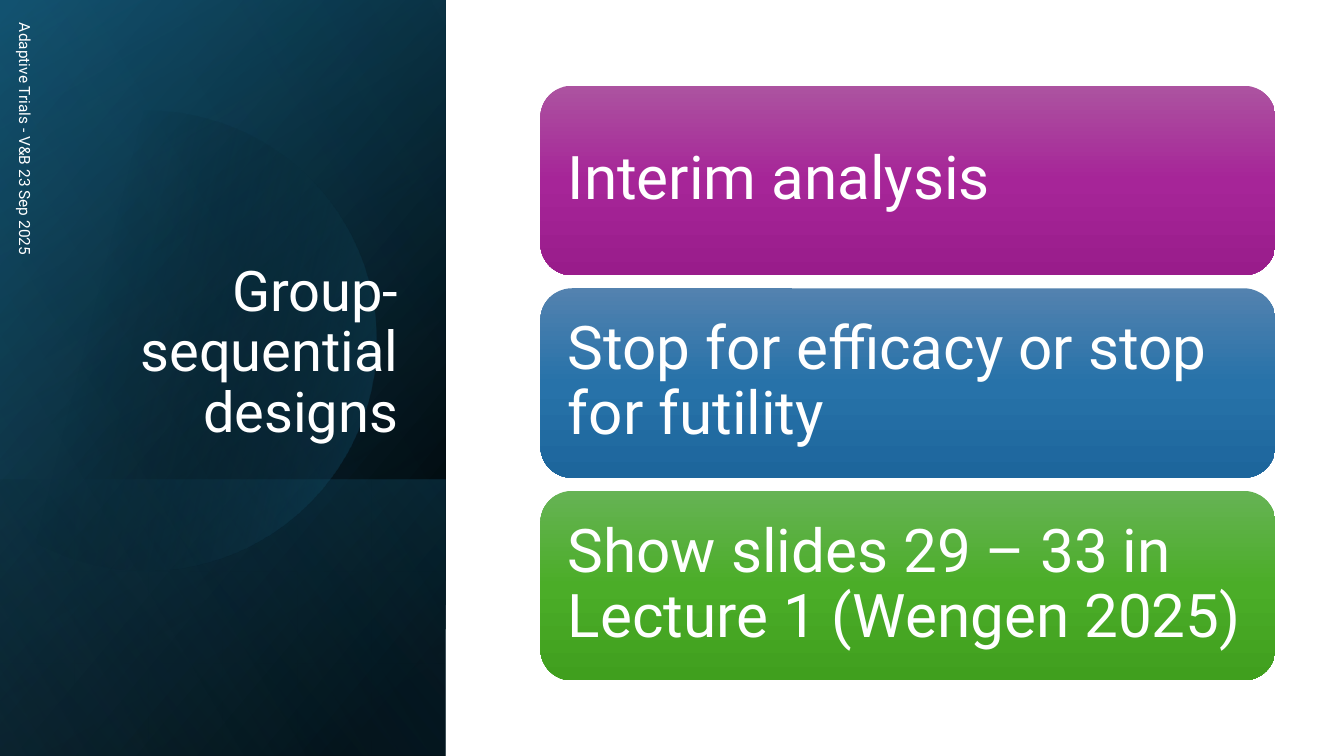
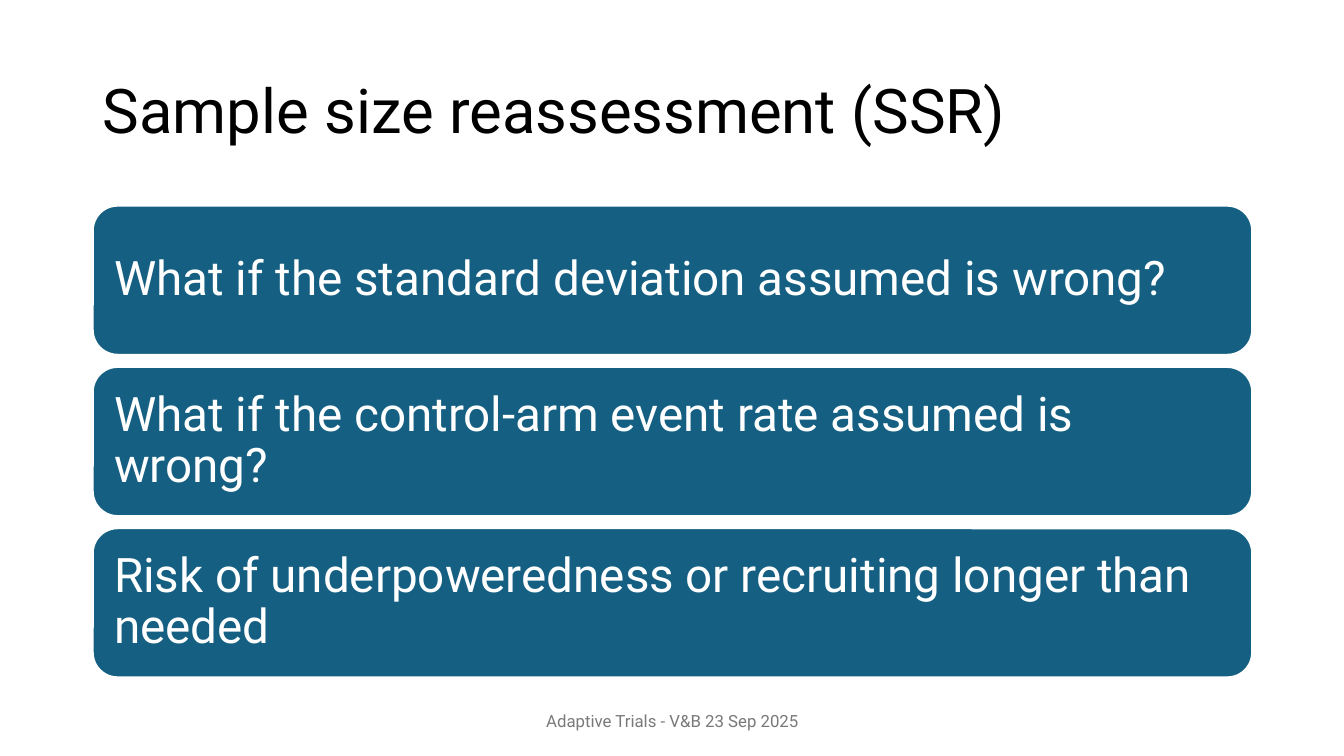
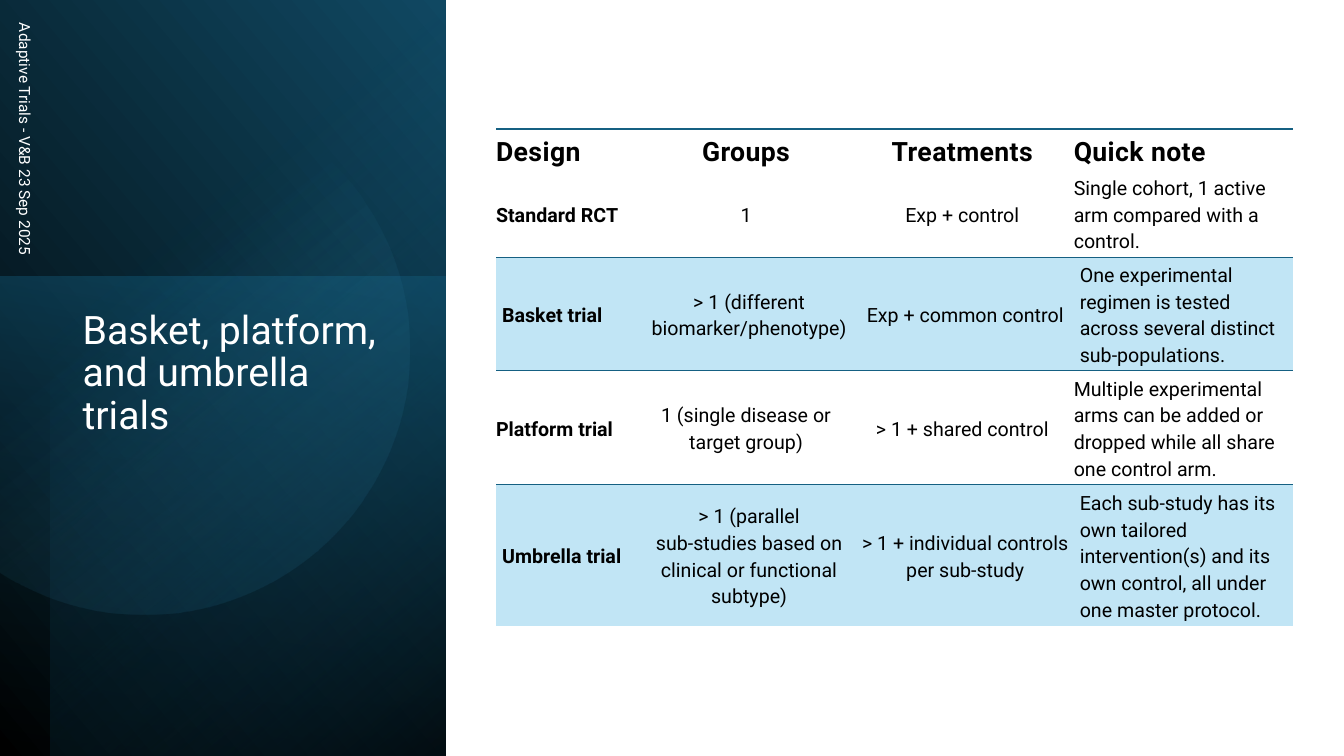
"""Build three slides on adaptive trial designs."""
from dataclasses import dataclass
from math import acos, cos, pi, sin
from typing import NamedTuple, Optional

from lxml.etree import SubElement
from pptx import Presentation
from pptx.dml.color import RGBColor
from pptx.enum.shapes import MSO_SHAPE
from pptx.enum.text import MSO_ANCHOR, MSO_AUTO_SIZE, PP_ALIGN
from pptx.oxml.ns import qn
from pptx.util import Inches, Pt


@dataclass(frozen=True)
class Theme:
    font: str = "Roboto"
    white: str = "FFFFFF"
    black: str = "000000"
    teal: str = "156082"
    deep_teal: str = "104862"
    dark_teal: str = "0B3041"
    sky: str = "46B1E1"
    pale: str = "C1E5F5"
    grey: str = "797979"
    side_title: float = 40
    wide_title: float = 44
    small_title: float = 28
    big_card: float = 43
    card: float = 34
    table_head: float = 19
    table_body: float = 14
    footer: float = 12
    side_footer: float = 11


THEME = Theme()
FOOTER = "Adaptive Trials - V&B 23 Sep 2025"
PANEL_WIDTH = 4.42
SLIDE_HEIGHT = 7.5
NO_GRID_STYLE = "{2D5ABB26-0587-4C30-8999-92F81FD0307C}"


class Box(NamedTuple):
    left: float
    top: float
    width: float
    height: float

    def emu(self) -> list:
        return [Inches(length) for length in self]


class Stop(NamedTuple):
    position: int
    color: str
    opacity: int = 100


class Gradient(NamedTuple):
    angle: int
    stops: tuple


class Layer(NamedTuple):
    box: Box
    gradient: Gradient


class Dome(NamedTuple):
    center_x: float
    center_y: float
    radius: float
    gradient: Gradient


class TextStyle(NamedTuple):
    size: float
    color: str
    align: PP_ALIGN = PP_ALIGN.LEFT
    anchor: MSO_ANCHOR = MSO_ANCHOR.MIDDLE
    spacing: float = 1.0
    bold: bool = False


class Card(NamedTuple):
    text: str
    gradient: Optional[Gradient] = None


class CardStack(NamedTuple):
    first: Box
    pitch: float
    inset: float
    size: float


FULL_PANEL = Box(0, 0, PANEL_WIDTH, SLIDE_HEIGHT)

DESIGN_LAYERS = (
    Layer(FULL_PANEL, Gradient(220, (Stop(8, THEME.black), Stop(100, THEME.deep_teal)))),
    Layer(FULL_PANEL, Gradient(240, (Stop(0, THEME.black, 0), Stop(99, THEME.teal, 46)))),
    Layer(Box(0, 4.76, PANEL_WIDTH, 2.74),
          Gradient(140, (Stop(2, THEME.teal, 29), Stop(100, THEME.black, 30)))),
    Dome(1.45, 3.38, 2.28, Gradient(14, (Stop(29, THEME.black, 0), Stop(100, THEME.teal, 43)))),
    Layer(FULL_PANEL, Gradient(150, (Stop(0, THEME.black, 0), Stop(99, THEME.sky, 11)))),
)
TRIAL_LAYERS = (
    Layer(FULL_PANEL, Gradient(320, (Stop(0, THEME.black), Stop(100, THEME.deep_teal)))),
    Layer(Box(0, 2.74, PANEL_WIDTH, 4.76),
          Gradient(100, (Stop(0, THEME.teal, 50), Stop(100, THEME.dark_teal, 0)))),
    Layer(Box(0.5, 0, 3.92, SLIDE_HEIGHT),
          Gradient(230, (Stop(0, THEME.black, 59), Stop(69, THEME.teal, 0)))),
    Dome(1.43, 3.47, 2.63, Gradient(52, (Stop(39, THEME.sky, 0), Stop(100, THEME.deep_teal, 26)))),
)

DESIGN_CARDS = tuple(
    Card(text, Gradient(90, tuple(map(Stop, (0, 50, 100), colors))))
    for text, colors in (
        ("Interim analysis", ("AC53A0", "A62598", "991C8B")),
        ("Stop for efficacy or stop for futility", ("5382AF", "2772A9", "1D669C")),
        ("Show slides 29 – 33 in Lecture 1 (Wengen 2025)", ("66B354", "4BAD28", "409F1E")),
    )
)
SAMPLE_CARDS = (
    Card("What if the standard deviation assumed is wrong?"),
    Card("What if the control-arm event rate assumed is wrong?"),
    Card("Risk of underpoweredness or recruiting longer than needed"),
)

COLUMN_WIDTHS = (1.44, 2.09, 2.2, 2.17)
ROW_HEIGHTS = (0.41, 0.86, 1.13, 1.13, 1.4)
TRIALS = (
    ("Design", "Groups", "Treatments", "Quick note"),
    ("Standard RCT", "1", "Exp + control",
     "Single cohort, 1 active arm compared with a control."),
    ("Basket trial", "> 1 (different biomarker/phenotype)", "Exp + common control",
     "One experimental regimen is tested across several distinct sub‑populations."),
    ("Platform trial", "1 (single disease or target group)", "> 1 + shared control",
     "Multiple experimental arms can be added or dropped while all share one control arm."),
    ("Umbrella trial", "> 1 (parallel sub‑studies based on clinical or functional subtype)",
     "> 1 + individual controls per sub‑study",
     "Each sub‑study has its own tailored intervention(s) and its own control, "
     "all under one master protocol."),
)


def rgb(color: str) -> RGBColor:
    return RGBColor.from_string(color)


def write(frame, text: str, style: TextStyle) -> None:
    frame.text = text
    frame.word_wrap = True
    frame.vertical_anchor = style.anchor
    para = frame.paragraphs[0]
    para.alignment = style.align
    para.line_spacing = style.spacing
    for span in para.runs:
        span.font.name = THEME.font
        span.font.size = Pt(style.size)
        span.font.bold = style.bold
        span.font.color.rgb = rgb(style.color)


def fill_gradient(shape, gradient: Gradient) -> None:
    shape.fill.gradient()
    fill = shape.element.spPr.find(qn("a:gradFill"))
    for child in list(fill):
        fill.remove(child)
    stop_list = SubElement(fill, qn("a:gsLst"))
    for stop in gradient.stops:
        mark = SubElement(stop_list, qn("a:gs"), pos=str(stop.position * 1000))
        color = SubElement(mark, qn("a:srgbClr"), val=stop.color)
        if stop.opacity < 100:
            SubElement(color, qn("a:alpha"), val=str(stop.opacity * 1000))
    SubElement(fill, qn("a:lin"), ang=str(gradient.angle * 60000), scaled="0")


def add_dome(page, dome: Dome):
    """Outline a circle cut off at the left edge of the slide."""
    half_angle = acos(-dome.center_x / dome.radius)
    steps = 90
    points = []
    for step in range(steps + 1):
        angle = half_angle * (2 * step / steps - 1)
        points.append((Inches(dome.center_x + dome.radius * cos(angle)),
                       Inches(dome.center_y + dome.radius * sin(angle))))
    builder = page.shapes.build_freeform(*points[0])
    builder.add_line_segments(points[1:], close=True)
    return builder.convert_to_shape()


def add_panel(page, layers: tuple) -> None:
    for layer in layers:
        if isinstance(layer, Dome):
            shape = add_dome(page, layer)
        else:
            shape = page.shapes.add_shape(MSO_SHAPE.RECTANGLE, *layer.box.emu())
        shape.shadow.inherit = False
        shape.line.fill.background()
        fill_gradient(shape, layer.gradient)


def set_title(page, text: str, box: Box, style: TextStyle) -> None:
    """Place the title in front of everything drawn so far."""
    title = page.shapes.title
    title.left, title.top, title.width, title.height = box.emu()
    write(title.text_frame, text, style)
    title.text_frame.auto_size = MSO_AUTO_SIZE.NONE
    title.element.getparent().append(title.element)


def add_footer(page, box: Box, style: TextStyle, rotation: float = 0) -> None:
    footer = page.shapes.add_textbox(*box.emu())
    footer.rotation = rotation
    write(footer.text_frame, FOOTER, style)


def add_side_footer(page) -> None:
    add_footer(page, Box(-2, 2.18, 4.5, 0.4), TextStyle(THEME.side_footer, THEME.white), 90)


def add_cards(page, cards: tuple, stack: CardStack) -> None:
    for index, card in enumerate(cards):
        box = stack.first._replace(top=stack.first.top + index * stack.pitch)
        shape = page.shapes.add_shape(MSO_SHAPE.ROUNDED_RECTANGLE, *box.emu())
        shape.shadow.inherit = False
        if card.gradient:
            fill_gradient(shape, card.gradient)
            shape.line.fill.background()
        else:
            shape.fill.solid()
            shape.fill.fore_color.rgb = rgb(THEME.teal)
            shape.line.color.rgb = rgb(THEME.white)
            shape.line.width = Pt(1.5)
        frame = shape.text_frame
        frame.margin_left = frame.margin_right = Inches(stack.inset)
        frame.margin_top = frame.margin_bottom = Inches(stack.inset)
        write(frame, card.text, TextStyle(stack.size, THEME.white, spacing=0.9))


def add_top_border(cell, points: float) -> None:
    properties = cell._tc.get_or_add_tcPr()
    border = SubElement(properties, qn("a:lnT"), w=str(Pt(points)))
    fill = SubElement(border, qn("a:solidFill"))
    SubElement(fill, qn("a:srgbClr"), val=THEME.teal)
    properties.insert(0, border)


def format_cell(cell, text: str, row: int, column: int) -> None:
    header = row == 0
    shaded = row in (2, 4)
    style = TextStyle(
        THEME.table_head if header else THEME.table_body,
        THEME.black,
        PP_ALIGN.CENTER if column in (1, 2) else PP_ALIGN.LEFT,
        spacing=1.15,
        bold=header or column == 0,
    )
    write(cell.text_frame, text, style)
    cell.vertical_anchor = style.anchor
    cell.margin_left = Inches(0.06 if shaded else 0)
    cell.margin_top = cell.margin_right = cell.margin_bottom = Inches(0.01)
    para = cell.text_frame.paragraphs[0]
    para.space_after = Pt(8)
    if header:
        para.runs[0]._r.get_or_add_rPr().set("spc", "30")
    if shaded:
        cell.fill.solid()
        cell.fill.fore_color.rgb = rgb(THEME.pale)
    else:
        cell.fill.background()
    if header or shaded:
        add_top_border(cell, 1.5 if header else 0.75)


def add_trial_table(page) -> None:
    box = Box(4.92, 1.28, sum(COLUMN_WIDTHS), sum(ROW_HEIGHTS))
    table = page.shapes.add_table(len(ROW_HEIGHTS), len(COLUMN_WIDTHS), *box.emu()).table
    table.first_row = table.horz_banding = False
    table._tbl.tblPr.find(qn("a:tableStyleId")).text = NO_GRID_STYLE
    for column, width in zip(table.columns, COLUMN_WIDTHS):
        column.width = Inches(width)
    for row, height in zip(table.rows, ROW_HEIGHTS):
        row.height = Inches(height)
    for row, texts in enumerate(TRIALS):
        for column, text in enumerate(texts):
            format_cell(table.cell(row, column), text, row, column)


def build_design_slide(page) -> None:
    add_panel(page, DESIGN_LAYERS)
    set_title(page, "Group-sequential designs", Box(0.64, 1.84, 3.41, 2.62),
              TextStyle(THEME.side_title, THEME.white, PP_ALIGN.RIGHT, MSO_ANCHOR.BOTTOM, 0.9))
    add_side_footer(page)
    add_cards(page, DESIGN_CARDS,
              CardStack(Box(5.36, 0.85, 7.29, 1.88), 2.01, 0.18, THEME.big_card))


def build_sample_slide(page) -> None:
    set_title(page, "Sample size reassessment (SSR)", Box(0.92, 0.4, 11.5, 1.45),
              TextStyle(THEME.wide_title, THEME.black, spacing=0.9))
    add_cards(page, SAMPLE_CARDS,
              CardStack(Box(0.92, 2.04, 11.5, 1.48), 1.6, 0.14, THEME.card))
    add_footer(page, Box(4.42, 6.95, 4.5, 0.4),
               TextStyle(THEME.footer, THEME.grey, PP_ALIGN.CENTER))


def build_trial_slide(page) -> None:
    add_panel(page, TRIAL_LAYERS)
    set_title(page, "Basket, platform, and umbrella trials", Box(0.72, 3.03, 3.15, 3.36),
              TextStyle(THEME.small_title, THEME.white, anchor=MSO_ANCHOR.TOP, spacing=0.9))
    add_side_footer(page)
    add_trial_table(page)


def main() -> None:
    deck = Presentation()
    deck.slide_width = Inches(13.33)
    deck.slide_height = Inches(SLIDE_HEIGHT)
    title_only = deck.slide_layouts[5]
    for build in (build_design_slide, build_sample_slide, build_trial_slide):
        build(deck.slides.add_slide(title_only))
    deck.save("out.pptx")


if __name__ == "__main__":
    main()
